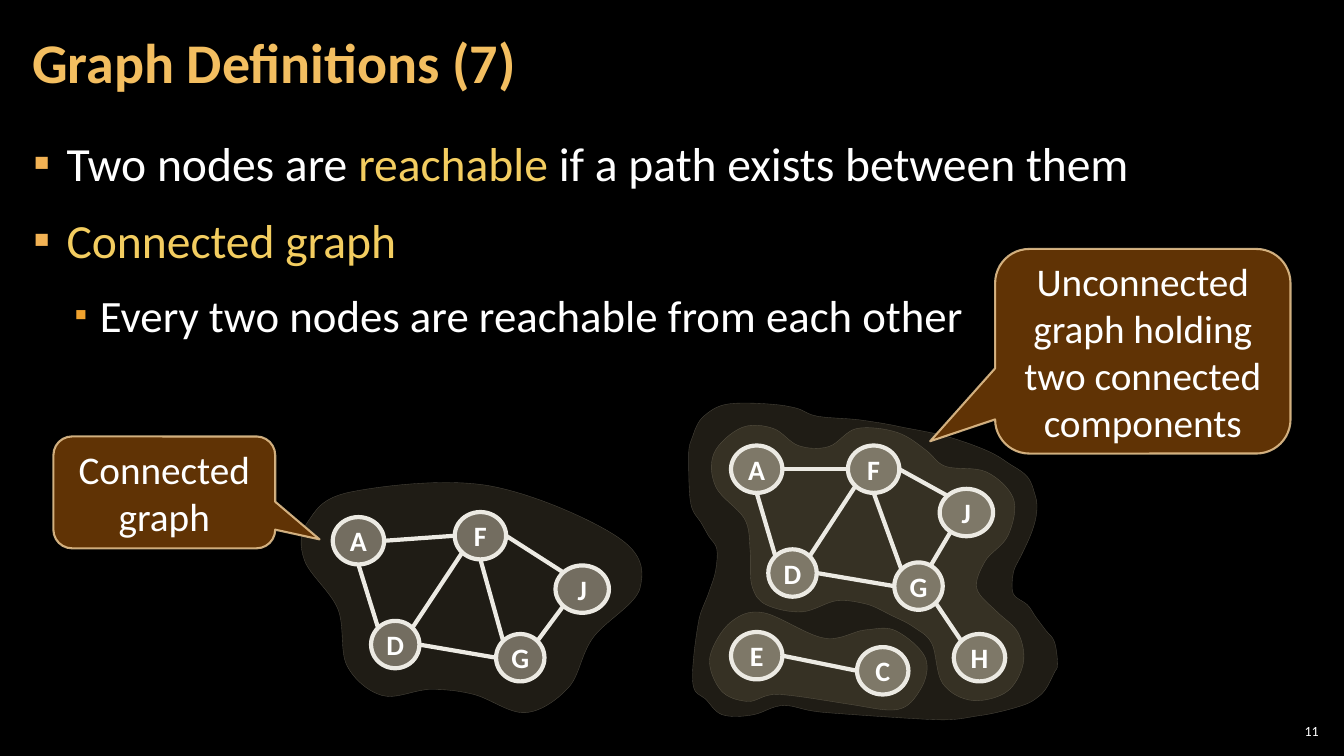
"""Build the "Graph Definitions (7)" slide with two graphs and their callouts."""
import math

from lxml import etree
from pptx import Presentation
from pptx.dml.color import RGBColor
from pptx.enum.shapes import MSO_CONNECTOR, MSO_SHAPE
from pptx.enum.text import MSO_ANCHOR, MSO_AUTO_SIZE, PP_ALIGN
from pptx.oxml.ns import qn
from pptx.util import Pt

PX = 9144
OVAL, CALLOUT = MSO_SHAPE.OVAL, MSO_SHAPE.ROUNDED_RECTANGULAR_CALLOUT
STRAIGHT = MSO_CONNECTOR.STRAIGHT
MIDDLE, TOP = MSO_ANCHOR.MIDDLE, MSO_ANCHOR.TOP
LEFT, CENTER, RIGHT = PP_ALIGN.LEFT, PP_ALIGN.CENTER, PP_ALIGN.RIGHT
FIXED = MSO_AUTO_SIZE.NONE
COLORS = {
    "black": "000000", "white": "FFFFFF", "title": "F3BE60", "term": "F3CD60",
    "bullet": "F2B254", "subbullet": "F0A22E", "blob": "7C7154",
    "node": "C7BFAC", "edge": "ECEAE3", "callout": "663606", "border": "F8D49E",
}
RGB = {name: RGBColor.from_string(code) for name, code in COLORS.items()}


def paint(sp, fill, fill_alpha, line, width, line_alpha):
    """Set fill and line of a shape, with opacities in percent."""
    sp.shadow.inherit = False
    sp.fill.solid()
    sp.line.width = Pt(width)
    sp.line.fill.solid()
    spPr = sp._element.spPr
    for target, parent, color, alpha in ((sp.fill, spPr, fill, fill_alpha),
                                         (sp.line.fill, spPr.find(qn("a:ln")), line, line_alpha)):
        target.fore_color.rgb = RGB[color]
        if alpha < 100:
            clr = parent.find(qn("a:solidFill")).find(qn("a:srgbClr"))
            etree.SubElement(clr, qn("a:alpha"), val=str(alpha * 1000))


def write(sp, text, size, color, align, anchor, margins, bold=False):
    """Fill a shape with text in one format."""
    tf = sp.text_frame
    tf.text = text
    tf.word_wrap = True
    tf.auto_size = FIXED
    tf.vertical_anchor = anchor
    tf.margin_left = tf.margin_right = margins[0] * PX
    tf.margin_top = tf.margin_bottom = margins[1] * PX
    for p in tf.paragraphs:
        p.alignment = align
        for r in p.runs:
            r.font.name, r.font.size, r.font.bold = "Calibri", Pt(size), bold
            r.font.color.rgb = RGB[color]


prs = Presentation()
prs.slide_width, prs.slide_height = 1333 * PX, 750 * PX
s = prs.slides.add_slide(prs.slide_layouts[1])
s.background.fill.solid()
s.background.fill.fore_color.rgb = RGB["black"]

title, body = s.placeholders
for sp, box in ((title, (20, 4, 1047, 121)), (body, (21, 126, 1291, 609))):
    sp.left, sp.top, sp.width, sp.height = (v * PX for v in box)
write(title, "Graph Definitions (7)", 40, "title", LEFT, MIDDLE, (12, 4), True)
title.text_frame.paragraphs[0].line_spacing = 0.9

write(body, "", 34, "white", LEFT, TOP, (12, 4))
bullets = [
    (0, 33, 33, 34, "bullet", 100, [("Two nodes are ", "white"), ("reachable", "term"),
                                    (" if а path exists between them", "white")]),
    (0, 33, 33, 34, "bullet", 100, [("Connected graph", "term")]),
    (1, 66, 25, 32, "subbullet", 80, [("Every two nodes are reachable from each other", "white")]),
]
tf = body.text_frame
for i, (level, margin, hang, size, color, percent, runs) in enumerate(bullets):
    p = tf.add_paragraph() if i else tf.paragraphs[0]
    p.level = level
    pPr = p._p.get_or_add_pPr()
    pPr.set("marL", str(margin * PX))
    pPr.set("indent", str(-hang * PX))
    etree.SubElement(etree.SubElement(pPr, qn("a:buClr")), qn("a:srgbClr"), val=COLORS[color])
    etree.SubElement(pPr, qn("a:buSzPct"), val=str(percent * 1000))
    etree.SubElement(pPr, qn("a:buFont"), typeface="Calibri")
    etree.SubElement(pPr, qn("a:buChar"), char="▪")
    p.alignment = LEFT
    p.line_spacing = 1.05
    p.space_before, p.space_after = Pt(6 if i else 0), Pt(6)
    for text, run_color in runs:
        r = p.add_run()
        r.text = text
        r.font.name, r.font.size = "Calibri", Pt(size)
        r.font.color.rgb = RGB[run_color]

number = s.shapes.add_textbox(1265 * PX, 714 * PX, 47 * PX, 22 * PX)
write(number, "11", 10, "white", RIGHT, MIDDLE, (4, 4))

blobs = [
    [(738, 514), (710, 483), (708, 450), (736, 424), (767, 425), (792, 442), (822, 443),
     (850, 425), (890, 429), (919, 447), (939, 463), (978, 468), (1005, 494), (1000, 531),
     (977, 557), (969, 584), (989, 607), (1010, 628), (1015, 658), (999, 686), (965, 695),
     (935, 678), (924, 638), (906, 622), (883, 610), (858, 599), (830, 596), (796, 607),
     (760, 600), (746, 582), (744, 546)],
    [(725, 617), (758, 608), (817, 633), (858, 625), (889, 626), (918, 653), (913, 684),
     (890, 704), (844, 699), (773, 689), (741, 696), (715, 685), (704, 652)],
    [(305, 518), (348, 488), (486, 482), (613, 533), (635, 583), (588, 633), (564, 682),
     (521, 707), (470, 689), (427, 684), (379, 690), (344, 660), (335, 604), (302, 556)],
    [(790, 405), (765, 401), (721, 401), (698, 413), (687, 433), (683, 452), (685, 499),
     (695, 518), (703, 532), (711, 545), (710, 565), (703, 588), (693, 616), (688, 652),
     (688, 682), (699, 693), (716, 709), (748, 709), (778, 700), (819, 707), (926, 714),
     (972, 710), (1014, 700), (1029, 692), (1037, 684), (1046, 667), (1049, 659),
     (1046, 637), (1037, 625), (1028, 613), (1019, 600), (1005, 589), (1005, 569),
     (1012, 553), (1021, 534), (1028, 511), (1027, 492), (1019, 473), (998, 458),
     (974, 445), (939, 433), (891, 423), (856, 417), (811, 413)],
]
for knots in blobs:
    builder = s.shapes.build_freeform(*knots[0], scale=PX)
    builder.add_line_segments(knots[1:] + knots[:1], close=True)
    sp = builder.convert_to_shape()
    left, top = (min(axis) for axis in zip(*knots))
    for i, segment in enumerate(list(sp._element.iter(qn("a:lnTo")))):
        a, b, c, d = (knots[(i + k) % len(knots)] for k in (-1, 0, 1, 2))
        curve = etree.Element(qn("a:cubicBezTo"))
        handles = ([b[k] + (c[k] - a[k]) / 6 for k in (0, 1)],
                   [c[k] - (d[k] - b[k]) / 6 for k in (0, 1)], c)
        for x, y in handles:
            etree.SubElement(curve, qn("a:pt"), x=str(round(x - left)), y=str(round(y - top)))
        segment.getparent().replace(segment, curve)
    paint(sp, "blob", 25, "node", 0.25, 30)

# Edge ends are (node, site): sites 0 to 7 run counterclockwise from the top of the oval.
graphs = [
    ({"G": (492, 629, 48), "J": (551, 561, 53), "F": (451, 508, 51), "D": (368, 616, 48),
      "A": (330, 513, 51)},
     [("G", 7, "J", 3), ("F", 6, "J", 1), ("G", 1, "F", 4), ("D", 6, "G", 2),
      ("F", 3, "D", 7), ("A", 6, "F", 2), ("D", 1, "A", 4)]),
    ({"G": (887, 558, 48), "J": (932, 485, 53), "F": (841, 442, 51), "D": (762, 545, 48),
      "A": (725, 442, 51), "E": (725, 627, 51), "C": (850, 642, 51), "H": (946, 629, 51)},
     [("G", 7.33, "J", 3.2), ("F", 6, "J", 1), ("G", 1, "F", 4), ("D", 6, "G", 2),
      ("F", 3, "D", 7), ("A", 6, "F", 2), ("D", 1, "A", 4), ("G", 5, "H", 1),
      ("C", 2, "E", 6)]),
]
NODE_H = 47
for nodes, edges in graphs:
    for start, start_site, end, end_site in edges:
        ends = []
        for name, site in ((start, start_site), (end, end_site)):
            x, y, w = nodes[name]
            angle = math.radians(90 + 45 * site)
            ends += [round((x + w / 2 * (1 + math.cos(angle))) * PX),
                     round((y + NODE_H / 2 * (1 - math.sin(angle))) * PX)]
        edge = s.shapes.add_connector(STRAIGHT, *ends)
        edge.line.color.rgb = RGB["edge"]
        edge.line.width = Pt(3)
        etree.SubElement(edge._element.spPr, qn("a:effectLst"))
    for name, (x, y, w) in nodes.items():
        sp = s.shapes.add_shape(OVAL, x * PX, y * PX, w * PX, NODE_H * PX)
        paint(sp, "node", 50, "edge", 3, 100)
        write(sp, name, 20, "white", CENTER, MIDDLE, (4, 5), True)

callouts = [
    ("Connected graph", (53, 433, 220, 111), (0.7, 0.42)),
    ("Unconnected graph holding two connected components", (987, 247, 293, 203), (-0.72, 0.44)),
]
for text, box, tip in callouts:
    sp = s.shapes.add_shape(CALLOUT, *(v * PX for v in box))
    sp.adjustments[0], sp.adjustments[1] = tip
    paint(sp, "callout", 95, "border", 1.5, 80)
    write(sp, text, 28, "white", CENTER, MIDDLE, (10, 5))

prs.save("out.pptx")
